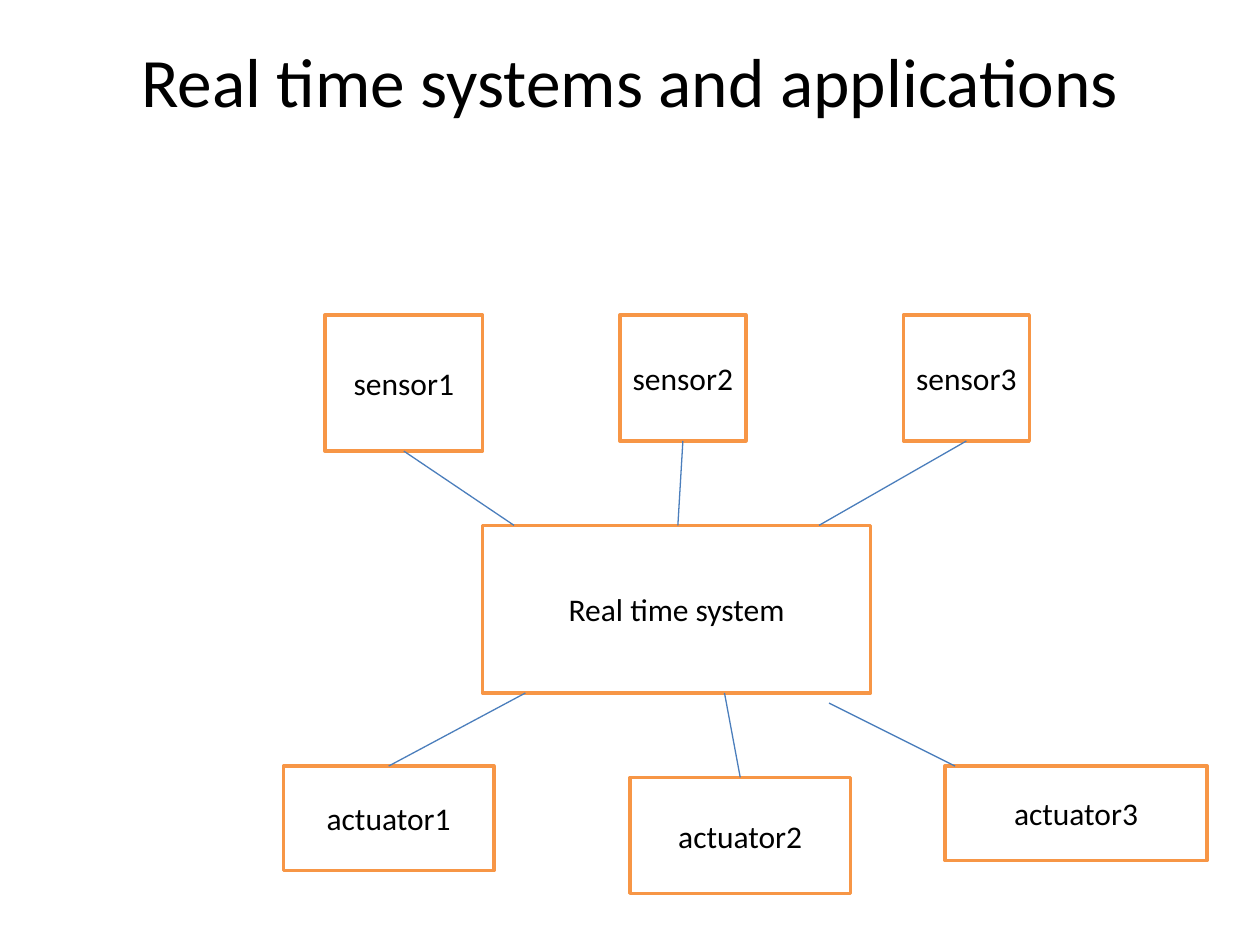
import pptx
import pptx.util
import pptx.dml.color
import pptx.enum.shapes
import pptx.enum.text
from lxml import etree

Inches, Pt = pptx.util.Inches, pptx.util.Pt
RGBColor = pptx.dml.color.RGBColor
ANCHOR = pptx.enum.text.MSO_ANCHOR
BLACK = RGBColor(0x00, 0x00, 0x00)
WHITE = RGBColor(0xFF, 0xFF, 0xFF)
ORANGE = RGBColor(0xF7, 0x96, 0x46)
BLUE = RGBColor(0x4B, 0x7E, 0xBC)
DRAWING = "http://schemas.openxmlformats.org/drawingml/2006/main"

TITLE = "Real time systems and applications"
TITLE_AREA = (0.5, 0.3, 9, 1.25)
BLOCKS = {
    "sensor1": (2.58, 2.5, 1.25, 1.08),
    "sensor2": (4.92, 2.5, 1, 1),
    "sensor3": (7.17, 2.5, 1, 1),
    "Real time system": (3.83, 4.17, 3.08, 1.33),
    "actuator1": (2.25, 6.08, 1.67, 0.83),
    "actuator2": (5, 6.17, 1.75, 0.92),
    "actuator3": (7.5, 6.08, 2.08, 0.75),
}
SENSOR_LINKS = {"sensor1": (4.08, 4.17), "sensor2": (5.38, 4.17), "sensor3": (6.5, 4.17)}
ACTUATOR_LINKS = {"actuator1": (4.17, 5.5), "actuator2": (5.75, 5.5)}
LOOSE_LINK = ((6.58, 5.58), (7.58, 6.08))


def write_text(shape, text, size, frame_format):
    frame = shape.text_frame
    for name, value in frame_format.items():
        setattr(frame, name, value)
    para = frame.paragraphs[0]
    para.alignment = pptx.enum.text.PP_ALIGN.CENTER
    span = para.add_run()
    span.text = text
    for name, value in {"name": "Calibri", "size": Pt(size)}.items():
        setattr(span.font, name, value)
    span.font.color.rgb = BLACK


def add_block(page, text, area):
    box = page.shapes.add_shape(
        pptx.enum.shapes.MSO_SHAPE.RECTANGLE, *map(Inches, area))
    box.shadow.inherit = False
    box.fill.solid()
    box.fill.fore_color.rgb = WHITE
    box.line.color.rgb = ORANGE
    box.line.width = Pt(2)
    write_text(box, text, 18, {"word_wrap": True, "vertical_anchor": ANCHOR.MIDDLE})


def add_link(page, start, end):
    link = page.shapes.add_connector(
        pptx.enum.shapes.MSO_CONNECTOR.STRAIGHT, *map(Inches, start + end))
    link.line.color.rgb = BLUE
    link.line.width = Pt(0.75)
    etree.SubElement(link._element.spPr, "{%s}effectLst" % DRAWING)


def middle_of_edge(name, bottom):
    left, top, width, height = BLOCKS[name]
    return left + width / 2, top + height * bottom


deck = pptx.Presentation()
deck.slide_width, deck.slide_height = Inches(10), Inches(7.5)
page = deck.slides.add_slide(deck.slide_layouts[6])

title = page.shapes.add_textbox(*map(Inches, TITLE_AREA))
write_text(title, TITLE, 39.6,
           {"word_wrap": True, "vertical_anchor": ANCHOR.TOP, "margin_top": 0})

for name, area in BLOCKS.items():
    add_block(page, name, area)
for links, bottom in ((SENSOR_LINKS, 1), (ACTUATOR_LINKS, 0)):
    for name, end in links.items():
        add_link(page, middle_of_edge(name, bottom), end)
add_link(page, *LOOSE_LINK)

deck.save("out.pptx")
